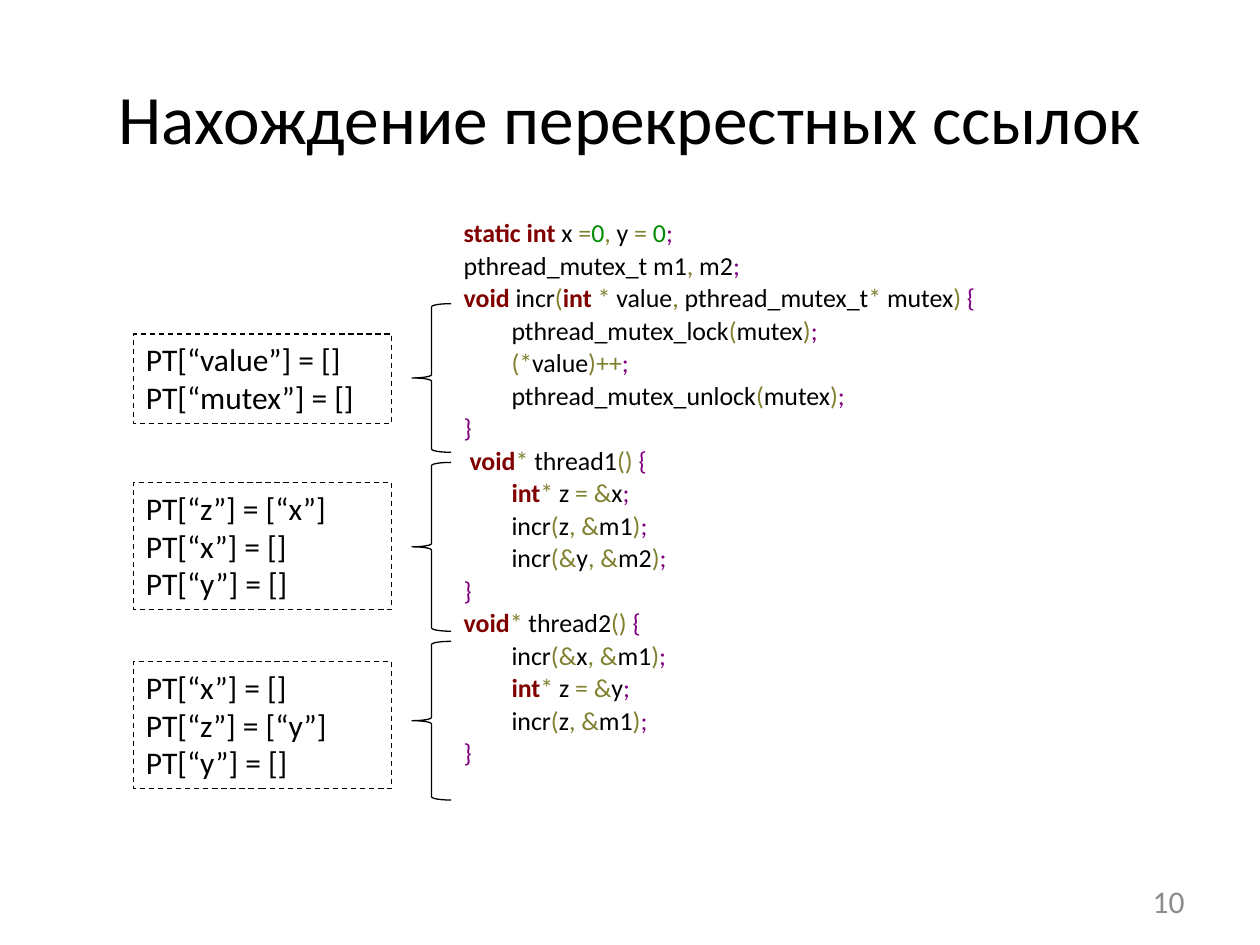
import itertools
from dataclasses import dataclass

import pptx
import pptx.dml.color
import pptx.enum.dml
import pptx.enum.shapes
import pptx.enum.text
import pptx.oxml.ns
import pptx.util
from lxml import etree
from pptx.util import Inches

ALIGN = pptx.enum.text.PP_ALIGN
ANCHOR = pptx.enum.text.MSO_ANCHOR
AUTOSIZE = pptx.enum.text.MSO_AUTO_SIZE
SHAPE = pptx.enum.shapes.MSO_SHAPE


@dataclass(frozen=True)
class Theme:
    font: str = "Calibri"
    text: str = "000000"
    muted: str = "8C8C8C"
    keyword: str = "800000"
    number: str = "008C00"
    operator: str = "808030"
    mark: str = "800080"
    title_size: float = 39.6
    note_size: float = 18
    code_size: float = 14.8
    line_width: float = 0.75


KEYWORDS = {"static", "int", "void"}


def char_kind(char):
    if char in "=,()*&+":
        return "operator"
    if char in ";{}":
        return "mark"
    return "space" if char == " " else "word"


def code_tokens(line):
    """Split a line of code into (text, theme colour name) pairs."""
    for kind, chars in itertools.groupby(line, char_kind):
        token = "".join(chars)
        if token in KEYWORDS:
            kind = "keyword"
        elif token.isdigit():
            kind = "number"
        elif kind in ("word", "space"):
            kind = "text"
        yield token, kind


class SlideBuilder:
    def __init__(self, slide, theme):
        self.slide = slide
        self.theme = theme
        self.token_colors = {
            "text": theme.text, "keyword": theme.keyword,
            "number": theme.number, "operator": theme.operator,
            "mark": theme.mark,
        }

    def place(self, shape, left, top, width, height):
        shape.left, shape.top = Inches(left), Inches(top)
        shape.width, shape.height = Inches(width), Inches(height)

    def style(self, run, size, color, bold=False):
        run.font.name = self.theme.font
        run.font.size = pptx.util.Pt(size)
        run.font.bold = bold
        run.font.color.rgb = pptx.dml.color.RGBColor.from_string(color)

    def fill_text(self, shape, text, size, color, align, anchor):
        frame = shape.text_frame
        frame.word_wrap = True
        frame.vertical_anchor = anchor
        frame.text = text
        for paragraph in frame.paragraphs:
            paragraph.alignment = align
            for run in paragraph.runs:
                self.style(run, size, color)

    def title(self, text, *box):
        heading = self.slide.shapes.title
        self.place(heading, *box)
        self.fill_text(heading, text, self.theme.title_size, self.theme.text,
                       ALIGN.CENTER, ANCHOR.MIDDLE)
        heading.text_frame.auto_size = AUTOSIZE.NONE

    def page_number(self, text, *box):
        number = self.slide.shapes.add_textbox(*map(Inches, box))
        self.fill_text(number, text, self.theme.note_size, self.theme.muted,
                       ALIGN.RIGHT, ANCHOR.MIDDLE)

    def code(self, lines, *box, indent):
        listing = self.slide.placeholders[1]
        self.place(listing, *box)
        frame = listing.text_frame
        frame.auto_size = AUTOSIZE.NONE
        frame.text = "\n".join(lines)
        for paragraph, line in zip(frame.paragraphs, lines):
            # A leading tab marks a line of a function body
            props = paragraph._p.get_or_add_pPr()
            props.set("marL", str(Inches(indent)))
            props.set("indent", str(0 if line[0] == "\t" else -Inches(indent)))
            paragraph.line_spacing = 0.9
            paragraph.space_before = pptx.util.Pt(2.6)
            etree.SubElement(props, pptx.oxml.ns.qn("a:buNone"))
            paragraph.clear()
            for token, kind in code_tokens(line.lstrip("\t")):
                run = paragraph.add_run()
                run.text = token
                self.style(run, self.theme.code_size,
                           self.token_colors[kind], kind == "keyword")

    def outline(self, kind, *box):
        shape = self.slide.shapes.add_shape(kind, *map(Inches, box))
        shape.shadow.inherit = False
        shape.fill.background()
        shape.line.color.rgb = pptx.dml.color.RGBColor.from_string(self.theme.text)
        shape.line.width = pptx.util.Pt(self.theme.line_width)
        return shape

    def points_to(self, lines, *box):
        note = self.outline(SHAPE.RECTANGLE, *box)
        note.line.dash_style = pptx.enum.dml.MSO_LINE.DASH
        self.fill_text(note, "\v".join(lines), self.theme.note_size,
                       self.theme.text, ALIGN.LEFT, ANCHOR.TOP)
        note.text_frame.auto_size = AUTOSIZE.SHAPE_TO_FIT_TEXT

    def brace(self, *box):
        bracket = self.outline(SHAPE.LEFT_BRACE, *box)
        bracket.adjustments[0] = 0.083
        bracket.adjustments[1] = 0.5


presentation = pptx.Presentation()
presentation.slide_width, presentation.slide_height = Inches(10), Inches(7.5)
builder = SlideBuilder(
    presentation.slides.add_slide(presentation.slide_layouts[1]), Theme())

# Title and page number
builder.title("Нахождение перекрестных ссылок", 0.5, 0.3, 9, 1.25)
builder.page_number("10", 7.17, 6.95, 2.33, 0.4)

# Program listing
program = [
    "static int x =0, y = 0;",
    "pthread_mutex_t m1, m2;",
    "void incr(int * value, pthread_mutex_t* mutex) {",
    "\tpthread_mutex_lock(mutex);",
    "\t(*value)++;",
    "\tpthread_mutex_unlock(mutex);",
    "}",
    " void* thread1() {",
    "\tint* z = &x;",
    "\tincr(z, &m1);",
    "\tincr(&y, &m2);",
    "}",
    "void* thread2() {",
    "\tincr(&x, &m1);",
    "\tint* z = &y;",
    "\tincr(z, &m1);",
    "}",
]
builder.code(program, 3.58, 1.7, 5.59, 4.95, indent=0.38)

# Points-to sets of each function: note top, brace top, brace height, lines
functions = [
    (2.65, 2.41, 1.18, ["PT[“value”] = []", "PT[“mutex”] = []"]),
    (3.83, 3.67, 1.34, ["PT[“z”] = [“x”]", "PT[“x”] = []", "PT[“y”] = []"]),
    (5.25, 5.09, 1.26, ["PT[“x”] = []", "PT[“z”] = [“y”]", "PT[“y”] = []"]),
]
for note_top, brace_top, brace_height, sets in functions:
    builder.points_to(sets, 1.06, note_top, 2.05, 0.11 + 0.3 * len(sets))
    builder.brace(3.27, brace_top, 0.31, brace_height)

presentation.save("out.pptx")
